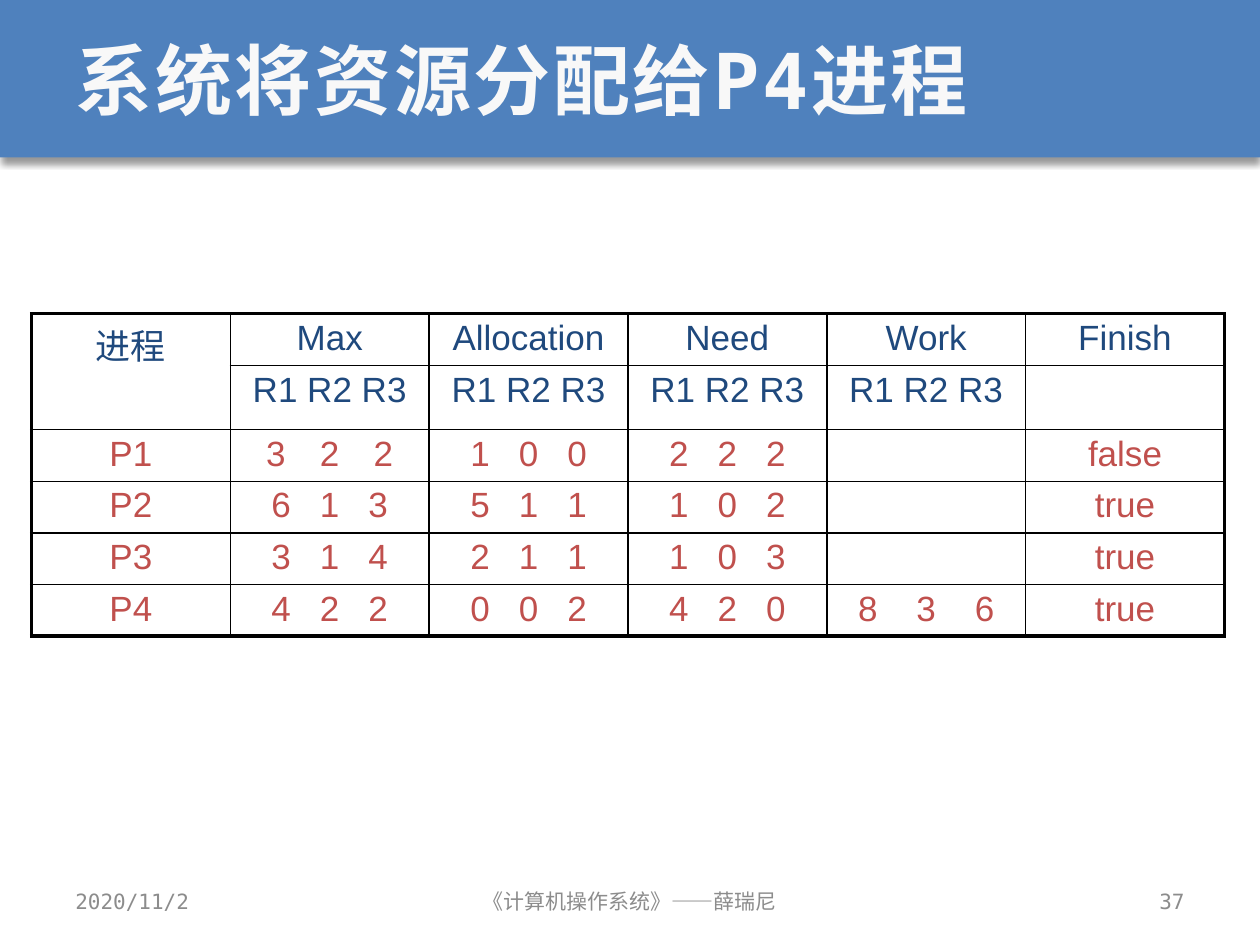
from dataclasses import dataclass

from lxml import etree
from pptx import Presentation
from pptx.dml.color import RGBColor
from pptx.enum import shapes, text
from pptx.oxml.ns import qn
from pptx.util import Inches, Pt


@dataclass(frozen=True)
class Theme:
    band: str = "4F81BD"
    title: str = "F8F8F8"
    head: str = "1F497D"
    data: str = "C0504D"
    foot: str = "8C8C8C"
    line: str = "000000"
    mono: str = "DejaVu Sans Mono"
    sans: str = "Arial"
    big: float = 44
    mid: float = 20
    small: float = 12
    thin: float = 1
    thick: float = 2.25


T = Theme()
ALIGN = text.PP_ALIGN
MID = text.MSO_ANCHOR.MIDDLE

ROWS = [
    ["进程", "Max", "Allocation", "Need", "Work", "Finish"],
    [""] + ["R1 R2 R3"] * 4 + [""],
    ["P1", "3 2 2", "1 0 0", "2 2 2", "", "false"],
    ["P2", "6 1 3", "5 1 1", "1 0 2", "", "true"],
    ["P3", "3 1 4", "2 1 1", "1 0 3", "", "true"],
    ["P4", "4 2 2", "0 0 2", "4 2 0", "8 3 6", "true"],
]
HEADS = 2
GAP = 5.5  # letter spacing between the digits, in points
WIDE = {(2, 1): 7, (5, 4): 8.3}


def write(frame, words, size, color, font, align=ALIGN.LEFT, bold=False, track=0):
    """Put one paragraph in a frame; tracking skips the last letter."""
    para = frame.paragraphs[0]
    para.alignment = align
    for part, space in ((words[:-1], track), (words[-1:], 0)) if track else ((words, 0),):
        run = para.add_run()
        run.text = part
        run.font.size = Pt(size)
        run.font.name = font
        run.font.bold = bold
        run.font.color.rgb = RGBColor.from_string(color)
        if space:
            run.font._element.set("spc", str(int(space * 100)))


def add_shade(shape):
    """Give a shape a soft shadow straight below it."""
    shape.shadow.inherit = False
    effects = shape._element.spPr.find(qn("a:effectLst"))
    shade = etree.SubElement(effects, qn("a:outerShdw"), blurRad=str(Pt(4)),
                             dist=str(Pt(3)), dir="5400000", rotWithShape="0")
    tint = etree.SubElement(shade, qn("a:srgbClr"), val=T.line)
    etree.SubElement(tint, qn("a:alpha"), val="40000")


def add_head(slide, x, y, w, h):
    """Title over a full-width band."""
    band = slide.shapes.add_shape(shapes.MSO_SHAPE.RECTANGLE, x, y, w, h)
    band.fill.solid()
    band.fill.fore_color.rgb = RGBColor.from_string(T.band)
    band.line.fill.background()
    add_shade(band)
    slide.shapes._spTree.insert(2, band._element)

    title = slide.shapes.title
    side = Inches(0.5)
    title.left, title.top, title.width, title.height = x + side, y, w - 2 * side, h
    frame = title.text_frame
    frame.word_wrap = True
    frame.auto_size = text.MSO_AUTO_SIZE.NONE
    frame.vertical_anchor = MID
    write(frame, "系统将资源分配给P4进程", T.big, T.title, T.mono, bold=True, track=1.5)


def set_edges(cell, **widths):
    """Draw the four cell borders, in the order L, R, T, B."""
    props = cell._tc.get_or_add_tcPr()
    for spot, (side, width) in enumerate(widths.items()):
        edge = etree.Element(qn("a:ln" + side), w=str(Pt(width)))
        fill = etree.SubElement(edge, qn("a:solidFill"))
        etree.SubElement(fill, qn("a:srgbClr"), val=T.line)
        props.insert(spot, edge)


def add_grid(slide, x, y, w, h):
    """Table of processes with a two-row heading."""
    count, width = len(ROWS), len(ROWS[0])
    grid = slide.shapes.add_table(count, width, x, y, w, h).table
    grid.first_row = grid.horz_banding = False
    for col in grid.columns:
        col.width = w // width
    extra = Inches(0.1)  # the second heading row is taller
    for r, row in enumerate(grid.rows):
        row.height = (h - extra) // count + (extra if r == 1 else 0)
    for r, line in enumerate(ROWS):
        for c, words in enumerate(line):
            cell = grid.cell(r, c)
            cell.fill.background()
            cell.margin_top = cell.margin_bottom = Inches(0.04)
            set_edges(cell,
                      L=T.thick if c == 0 else T.thin,
                      R=T.thick if c == width - 1 else T.thin,
                      T=T.thick if r == 0 else T.thin,
                      B=T.thick if r == count - 1 else T.thin)
            if words:
                digits = words.replace(" ", "").isdigit()
                write(cell.text_frame, words, T.mid, T.head if r < HEADS else T.data,
                      T.sans, ALIGN.CENTER, track=WIDE.get((r, c), GAP) if digits else 0)
    grid.cell(0, 0).merge(grid.cell(1, 0))


def add_foot(slide, x, y, w, h):
    """Date, course and page number."""
    side, main = Inches(2.33), Inches(3.17)
    parts = [
        ("2020/11/2", x, side, ALIGN.LEFT),
        ("《计算机操作系统》——薛瑞尼", x + (w - main) // 2, main, ALIGN.CENTER),
        ("37", x + w - side, side, ALIGN.RIGHT),
    ]
    for words, left, wide, align in parts:
        frame = slide.shapes.add_textbox(left, y, wide, h).text_frame
        frame.word_wrap = True
        frame.vertical_anchor = MID
        write(frame, words, T.small, T.foot, T.mono, align)


def main():
    deck = Presentation()
    deck.slide_width, deck.slide_height = Inches(10), Inches(7.5)
    slide = deck.slides.add_slide(deck.slide_layouts[5])
    add_head(slide, 0, 0, deck.slide_width, Inches(1.25))
    add_grid(slide, Inches(0.25), Inches(2.49), Inches(9.47), Inches(2.56))
    add_foot(slide, Inches(0.5), Inches(6.95), Inches(9), Inches(0.4))
    deck.save("out.pptx")


if __name__ == "__main__":
    main()
